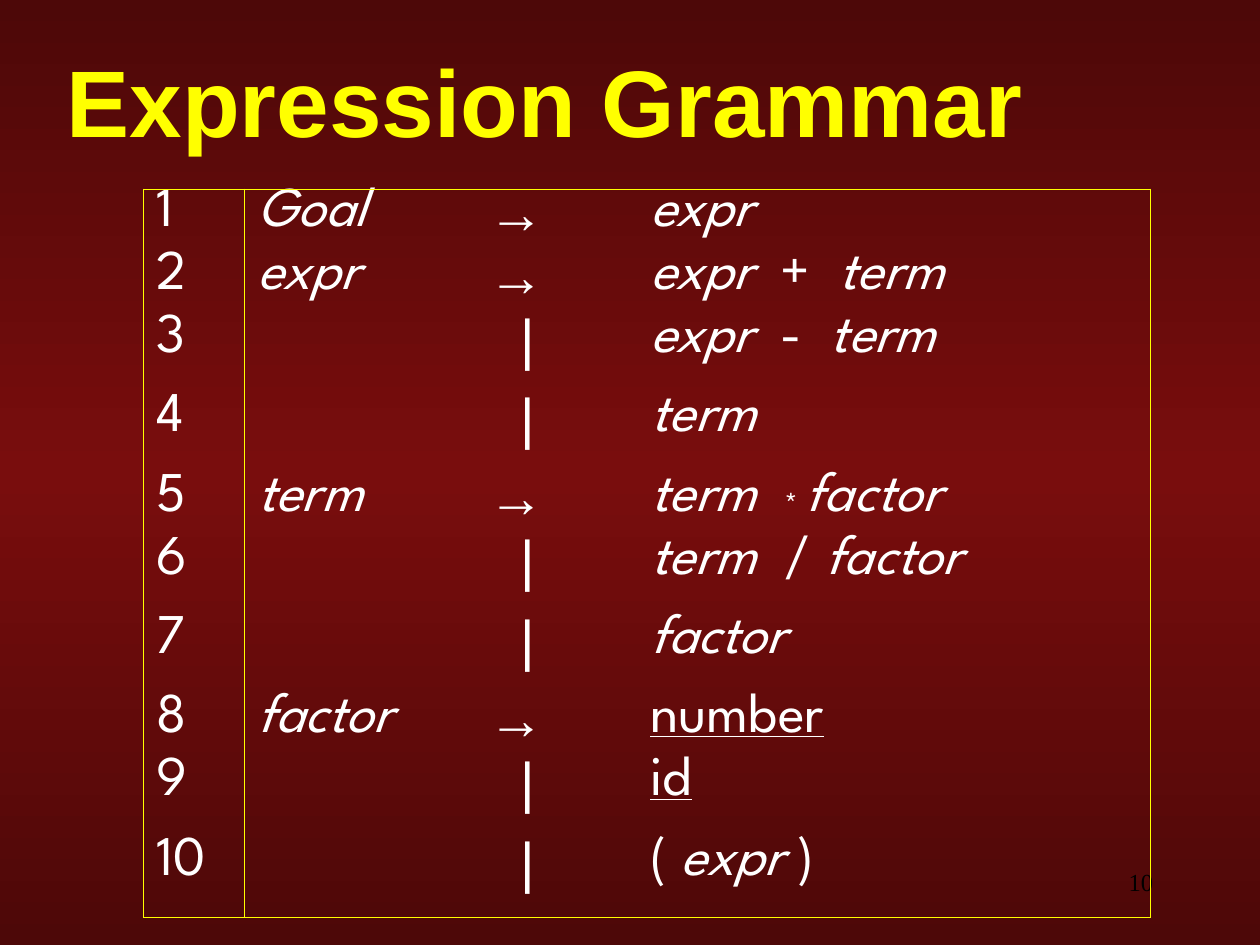
from copy import deepcopy

from lxml.etree import SubElement
from pptx import Presentation
from pptx.dml.color import RGBColor
from pptx.enum.text import MSO_ANCHOR, PP_ALIGN
from pptx.oxml import parse_xml
from pptx.oxml.ns import nsdecls, qn
from pptx.util import Inches, Pt

COLORS = {
    "edge": "4D0808",
    "middle": "790D0D",
    "accent": "FFFF00",
    "text": "FFFFFF",
    "number": "000000",
    "glow": "CCCCCC",
}
SYMBOL_FONT = "Arial"
WORD_FONT = "League Spartan"
COLUMN_WIDTHS = (0.8, 1.84, 1.28, 4.07)
PRODUCTION_HEIGHT, ALTERNATIVE_HEIGHT = 0.5, 0.63
BAR_INDENT = 0.35

RULES = [
    ("Goal", [("expr", "italic")]),
    ("expr", [("expr  ", "italic"), ("+", "plain"), ("  term", "italic")]),
    ("", [("expr  ", "italic"), ("-", "plain"), ("  term", "italic")]),
    ("", [("term", "italic")]),
    ("term", [("term  ", "italic"), ("* ", "lowered"), ("factor", "italic")]),
    ("", [("term  ", "italic"), ("∕ ", "plain"), ("factor", "italic")]),
    ("", [("factor", "italic")]),
    ("factor", [("number", "underline")]),
    ("", [("id", "underline")]),
    ("", [("( ", "plain"), ("expr", "italic"), (" )", "plain")]),
]


def set_font(font, name, size, color, bold=False):
    font.name, font.size, font.bold = name, Pt(size), bold
    font.color.rgb = RGBColor.from_string(COLORS[color])


def paint_background(slide):
    fill = slide.background.fill
    fill.gradient()
    fill.gradient_angle = 90
    first = fill.gradient_stops[0]._gs
    first.addnext(deepcopy(first))
    for stop, position, color in zip(fill.gradient_stops, (0, 0.5, 1), ("edge", "middle", "edge")):
        stop.position = position
        stop.color.rgb = RGBColor.from_string(COLORS[color])


def place_title(slide, text):
    title = slide.shapes.title
    title.left, title.top = Inches(0.43), Inches(0.38)
    title.width, title.height = Inches(10), Inches(0.83)
    frame = title.text_frame
    frame.text = text
    frame.vertical_anchor = MSO_ANCHOR.MIDDLE
    heading = frame.paragraphs[0]
    heading.alignment = PP_ALIGN.LEFT
    set_font(heading.font, SYMBOL_FONT, 54, "accent", bold=True)
    heading.runs[0]._r.get_or_add_rPr().append(parse_xml(
        f'<a:effectLst {nsdecls("a")}><a:outerShdw dist="25400" dir="2700000">'
        f'<a:srgbClr val="{COLORS["glow"]}"/></a:outerShdw></a:effectLst>'))


def place_page_number(slide, text):
    box = slide.shapes.add_textbox(Inches(7.17), Inches(6.83), Inches(2.08), Inches(0.5))
    box.text_frame.word_wrap = True
    page = box.text_frame.paragraphs[0]
    page.text = text
    page.alignment = PP_ALIGN.RIGHT
    set_font(page.font, "Times New Roman", 14, "number")


def apply_style(font, style):
    font.italic = style == "italic"
    font.underline = style == "underline"


def write_cell(cell, pieces, font_name=WORD_FONT, bold=False):
    line = cell.text_frame.paragraphs[0]
    line.line_spacing = 0.75
    set_font(line.font, font_name, 32, "text", bold)
    for text, style in pieces:
        run = line.add_run()
        run.text = text
        apply_style(line.font if len(pieces) == 1 else run.font, style)
        if style == "lowered":
            run._r.get_or_add_rPr().set("baseline", "-8000")


def draw_borders(cell, visible_sides):
    properties = cell._tc.get_or_add_tcPr()
    for side in "LRTB":
        border = SubElement(properties, qn(f"a:ln{side}"), w=str(Pt(0.45)))
        if side in visible_sides:
            paint = SubElement(border, qn("a:solidFill"))
            SubElement(paint, qn("a:srgbClr"), val=COLORS["accent"])
        else:
            SubElement(border, qn("a:noFill"))
    cell.fill.background()


def visible_sides(row, column):
    last_row, last_column = len(RULES) - 1, len(COLUMN_WIDTHS) - 1
    sides = {
        "L": column in (0, 1),
        "R": column in (0, last_column),
        "T": row == 0,
        "B": row == last_row,
    }
    return [side for side, visible in sides.items() if visible]


def build_grammar(slide):
    heights = [PRODUCTION_HEIGHT if head else ALTERNATIVE_HEIGHT for head, _ in RULES]
    grammar = slide.shapes.add_table(
        len(RULES), len(COLUMN_WIDTHS), Inches(1.14), Inches(1.5),
        Inches(sum(COLUMN_WIDTHS)), Inches(sum(heights))).table
    grammar.first_row = grammar.horz_banding = False
    for column, width in zip(grammar.columns, COLUMN_WIDTHS):
        column.width = Inches(width)
    for index, (head, body) in enumerate(RULES):
        grammar.rows[index].height = Inches(heights[index])
        number, name, symbol, expansion = cells = grammar.rows[index].cells
        write_cell(number, [(str(index + 1), "plain")])
        if head:
            write_cell(name, [(head, "italic")])
            write_cell(symbol, [("→", "plain")], SYMBOL_FONT, bold=True)
        else:
            write_cell(symbol, [("|", "plain")], SYMBOL_FONT)
            symbol.margin_left = Inches(BAR_INDENT)
        write_cell(expansion, body)
        for column, cell in enumerate(cells):
            draw_borders(cell, visible_sides(index, column))


def main():
    deck = Presentation()
    deck.slide_width, deck.slide_height = Inches(10), Inches(7.5)
    slide = deck.slides.add_slide(deck.slide_layouts[5])
    paint_background(slide)
    place_page_number(slide, "10")
    place_title(slide, "Expression Grammar")
    build_grammar(slide)
    deck.save("out.pptx")


if __name__ == "__main__":
    main()
